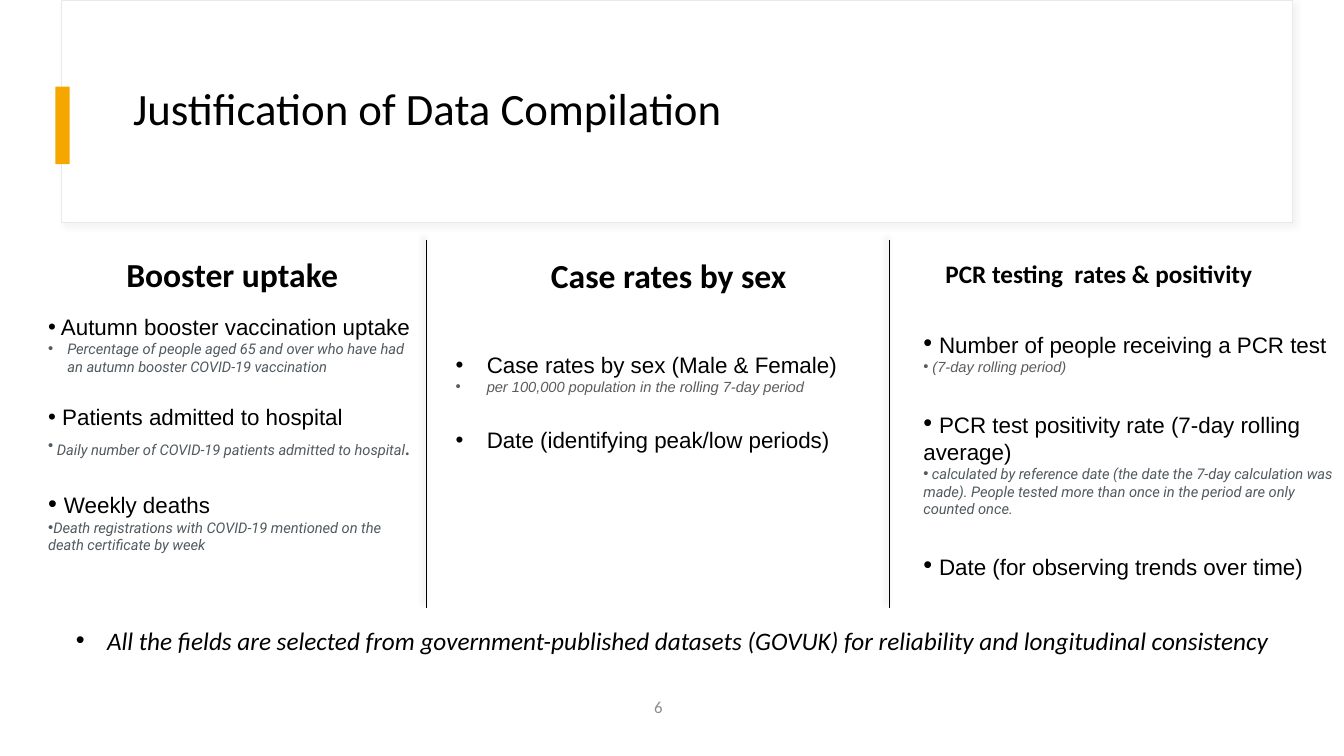
"""Builds the slide that justifies the compiled health data fields."""
import pptx
import pptx.util
import pptx.dml.color
import pptx.enum.shapes
import pptx.enum.text
import pptx.oxml.ns
from lxml import etree

PX = 9144
COLORS = {"black": "000000", "white": "FFFFFF", "edge": "E9E9E9", "shade": "D9D9D9",
          "accent": "F5A700", "slate": "505A5F", "grey": "5C5C5C", "number": "8C8C8C"}
STYLES = {
    "title": (32, "Calibri", "black", False, False),
    "heading": (24, "Calibri", "black", True, False),
    "small heading": (18, "Calibri", "black", True, False),
    "number": (12, "Calibri", "number", False, False),
    "field": (16, "Arial", "black", False, False),
    "lead": (18, "Arial", "black", False, False),
    "note": (10.5, "Roboto", "slate", False, True),
    "stop": (18, "Roboto", "slate", False, True),
    "plain note": (10.5, "Arial", "grey", False, True),
    "summary": (18, "Calibri", "black", False, True),
}
ALIGN = pptx.enum.text.PP_ALIGN
ANCHOR = pptx.enum.text.MSO_ANCHOR


def rgb(name):
    return pptx.dml.color.RGBColor.from_string(COLORS[name])


def sub(parent, tag, **attrs):
    return etree.SubElement(parent, pptx.oxml.ns.qn(tag), **attrs)


class Deck:
    """Holds the presentation, its current slide and the drawing style."""

    def __init__(self, width, height):
        self.prs = pptx.Presentation()
        self.prs.slide_width, self.prs.slide_height = width * PX, height * PX
        self.slide = self.prs.slides.add_slide(self.prs.slide_layouts[5])
        self.shapes = self.slide.shapes

    def style(self, font, name):
        size, font.name, color, font.bold, font.italic = STYLES[name]
        font.size = pptx.util.Pt(size)
        font.color.rgb = rgb(color)

    def shadow(self, effects, color, opacity, angle):
        sh = sub(effects, "a:outerShdw", blurRad="50800", dist="38100",
                 dir=str(angle * 60000), algn="tl", rotWithShape="0")
        clr = sub(sh, "a:srgbClr", val=COLORS[color])
        sub(clr, "a:alpha", val=str(opacity * 1000))

    def rect(self, box, fill, line=None):
        sp = self.shapes.add_shape(pptx.enum.shapes.MSO_SHAPE.RECTANGLE, *[v * PX for v in box])
        sp.shadow.inherit = False
        sp.fill.solid()
        sp.fill.fore_color.rgb = rgb(fill)
        if line:
            sp.line.color.rgb = rgb(line)
            sp.line.width = pptx.util.Pt(0.75)
            effects = sp._element.spPr.find(pptx.oxml.ns.qn("a:effectLst"))
            self.shadow(effects, "shade", 30, 45)
        else:
            sp.line.fill.background()

    def divider(self, x, top, bottom):
        cn = self.shapes.add_connector(pptx.enum.shapes.MSO_CONNECTOR.STRAIGHT,
                                       x * PX, top * PX, x * PX, bottom * PX)
        cn.line.color.rgb = rgb("black")
        cn.line.width = pptx.util.Pt(0.5)
        self.shadow(sub(cn._element.spPr, "a:effectLst"), "black", 40, 225)

    def title(self, box, text):
        sp = self.shapes.title
        self.shapes._spTree.append(sp._element)
        sp.left, sp.top, sp.width, sp.height = [v * PX for v in box]
        sp.text_frame.vertical_anchor = ANCHOR.MIDDLE
        p = sp.text_frame.paragraphs[0]
        p.alignment, p.line_spacing = ALIGN.LEFT, 0.9
        self.fill(p, [(text, "title")])

    def frame(self, box, anchor):
        tf = self.shapes.add_textbox(*[v * PX for v in box]).text_frame
        tf.word_wrap = True
        tf.vertical_anchor = anchor
        return tf

    def fill(self, p, runs):
        for text, name in runs:
            r = p.add_run()
            r.text = text
            if len(runs) > 1:
                self.style(r.font, name)
        if len(runs) == 1:
            self.style(p.font, runs[0][1])

    def label(self, box, text, name, align, anchor, spacing=1.0):
        p = self.frame(box, anchor).paragraphs[0]
        p.alignment, p.line_spacing = align, spacing
        self.fill(p, [(text, name)])

    def bullets(self, box, groups, gap=0, indent=0, align=ALIGN.LEFT, anchor=ANCHOR.MIDDLE):
        tf = self.frame(box, anchor)
        for g, group in enumerate(groups):
            for i, (runs, hang) in enumerate(group):
                p = tf.paragraphs[0] if g == i == 0 else tf.add_paragraph()
                left = (hang or indent) * PX
                pPr = p._p.get_or_add_pPr()
                pPr.set("marL", str(left))
                pPr.set("indent", str(-left))
                sub(pPr, "a:buFont", typeface="Arial")
                sub(pPr, "a:buChar", char="•")
                p.alignment = align
                if g and i == 0:
                    p.space_before = pptx.util.Pt(gap)
                self.fill(p, runs)


def item(text, name, hang=0):
    return [(text, name)], hang


def led(text):
    return [(" ", "lead"), (text, "field")], 0


def main():
    deck = Deck(1333, 750)
    deck.rect((61, 0, 1221, 221), "white", "edge")
    deck.rect((55, 86, 14, 77), "accent")
    deck.title((122, 60, 950, 100), "Justification of Data Compilation")

    for box, text, name in [
        ((54, 245, 360, 52), "Booster uptake ", "heading"),
        ((487, 243, 360, 55), "Case rates by sex ", "heading"),
        ((910, 251, 360, 40), "PCR testing  rates & positivity", "small heading"),
    ]:
        deck.label(box, text, name, ALIGN.CENTER, ANCHOR.BOTTOM, 1.1)
    deck.label((367, 681, 300, 40), "6", "number", ALIGN.RIGHT, ANCHOR.MIDDLE)

    deck.bullets((38, 304, 385, 252), [
        [item(" Autumn booster vaccination uptake", "field"),
         item("Percentage of people aged 65 and over who have had an autumn booster "
              "COVID-19 vaccination", "note", 19)],
        [item(" Patients admitted to hospital", "field"),
         ([(" Daily number of COVID-19 patients admitted to hospital", "note"),
           (".", "stop")], 0)],
        [led("Weekly deaths"),
         item("Death registrations with COVID-19 mentioned on the death certificate "
              "by week", "note")],
    ], gap=20)
    deck.bullets((442, 343, 450, 112), [
        [item("Case rates by sex (Male & Female)", "field"),
         item("per 100,000 population in the rolling 7-day period", "plain note")],
        [item("Date (identifying peak/low periods)", "field")],
    ], gap=22, indent=31)
    deck.bullets((906, 321, 426, 259), [
        [led("Number of people receiving a PCR test"),
         item(" (7-day rolling period)", "plain note")],
        [led("PCR test positivity rate (7-day rolling average)"),
         item(" calculated by reference date (the date the 7-day calculation was made). "
              "People tested more than once in the period are only counted once.", "note")],
        [led("Date (for observing trends over time)")],
    ], gap=23)
    deck.bullets((13, 615, 1308, 40), [
        [item("All the fields are selected from government-published datasets (GOVUK) "
              "for reliability and longitudinal consistency", "summary")],
    ], indent=31, align=ALIGN.CENTER, anchor=ANCHOR.TOP)

    for x in (423, 882):
        deck.divider(x, 238, 603)
    deck.prs.save("out.pptx")


if __name__ == "__main__":
    main()
